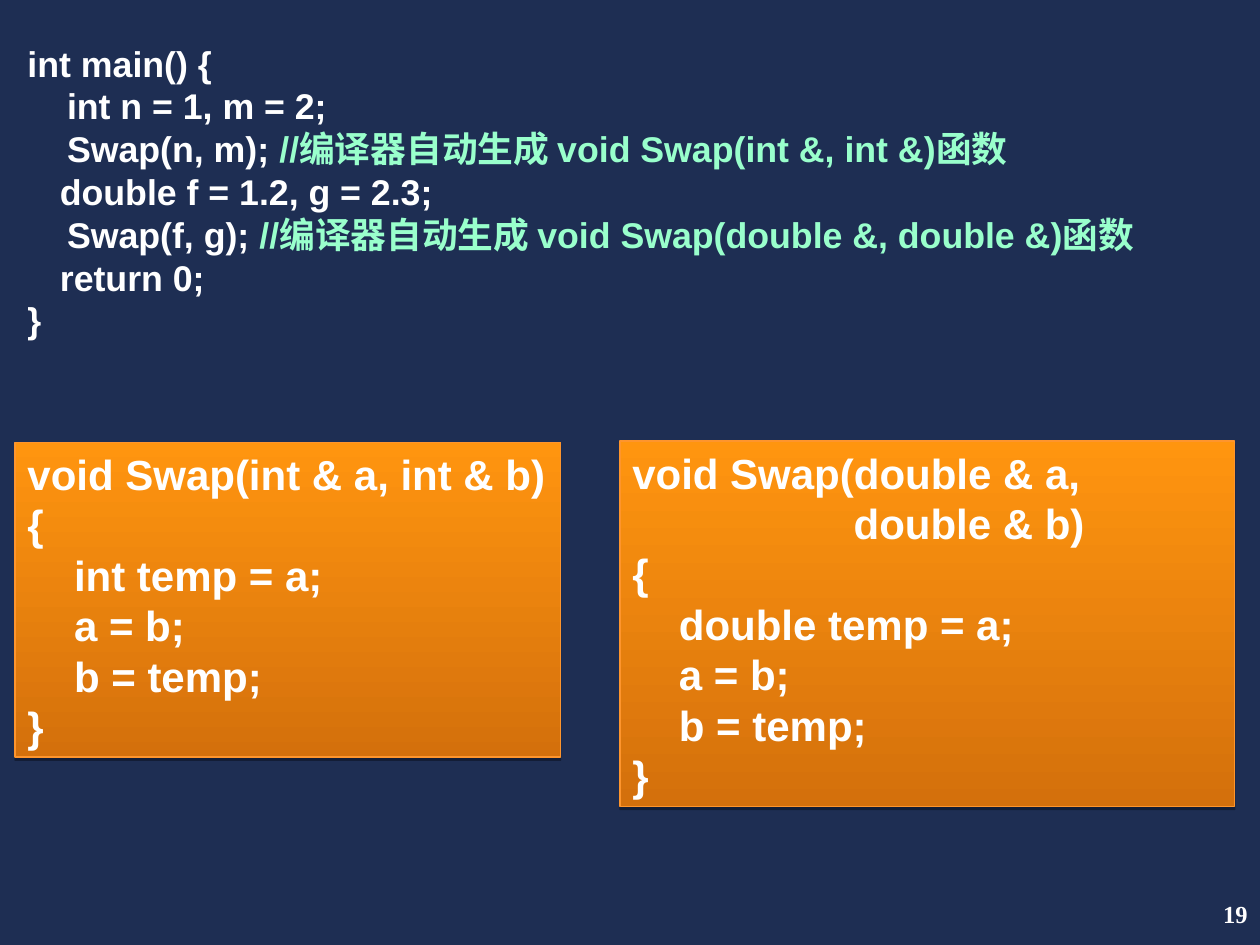
import pptx
import pptx.util
import pptx.dml.color
import pptx.enum.shapes
import pptx.enum.text
import lxml.etree

Pt = pptx.util.Pt
ALIGN = pptx.enum.text.PP_ALIGN
ANCHOR = pptx.enum.text.MSO_ANCHOR
FIT = pptx.enum.text.MSO_AUTO_SIZE
NS = "http://schemas.openxmlformats.org/drawingml/2006/main"
WHITE = "FFFFFF"
MINT = "99FFCC"


def tint(color, value):
    color.rgb = pptx.dml.color.RGBColor.from_string(value)


def apply(item, values):
    for name, value in values.items():
        setattr(item, name, value)


class Deck:
    code = {"name": "Arial", "bold": True}
    page = {"name": "Times New Roman", "bold": True}
    frame = {
        "margin_left": Pt(7.2), "margin_right": Pt(7.2),
        "margin_top": Pt(3.6), "margin_bottom": Pt(3.6),
        "word_wrap": True,
    }

    def __init__(self):
        self.show = pptx.Presentation()
        apply(self.show, {"slide_width": Pt(720), "slide_height": Pt(540)})
        self.slide = self.show.slides.add_slide(self.show.slide_layouts[6])
        fill = self.slide.background.fill
        fill.solid()
        tint(fill.fore_color, "1E2E53")

    def put(self, shape, paras, size, font, align=ALIGN.LEFT, **extra):
        frame = shape.text_frame
        apply(frame, {**self.frame, **extra})
        for index, parts in enumerate(paras):
            para = frame.add_paragraph() if index else frame.paragraphs[0]
            apply(para, {"alignment": align, "line_spacing": Pt(size * 1.2)})
            for text, color in parts:
                for row, line in enumerate(text.split("\n")):
                    if row:
                        para.add_line_break()
                    if line:
                        run = para.add_run()
                        run.text = line
                        apply(run.font, {**font, "size": Pt(size)})
                        tint(run.font.color, color)

    def text(self, box, *args, **extra):
        shape = self.slide.shapes.add_textbox(*map(Pt, box))
        self.put(shape, *args, **extra)

    def panel(self, box, paras):
        kind = pptx.enum.shapes.MSO_SHAPE.RECTANGLE
        shape = self.slide.shapes.add_shape(kind, *map(Pt, box))
        shape.fill.gradient()
        shape.fill.gradient_angle = 90
        colors = ("D4700C", "FF950F")
        for place, (stop, color) in enumerate(zip(shape.fill.gradient_stops, colors)):
            stop.position = place
            tint(stop.color, color)
        tint(shape.line.color, "FE952D")
        shape.line.width = Pt(0.75)
        self.shade(shape)
        parts = [[(text, WHITE)] for text in paras]
        self.put(shape, parts, 24, self.code,
                 vertical_anchor=ANCHOR.TOP, auto_size=FIT.SHAPE_TO_FIT_TEXT)

    def shade(self, shape):
        shape.shadow.inherit = False
        node = shape.element.spPr.find(f"{{{NS}}}effectLst")
        for tag, values in (
            ("outerShdw", {"blurRad": "0", "dist": str(Pt(1.8)), "dir": "5400000",
                           "algn": "ctr", "rotWithShape": "0"}),
            ("srgbClr", {"val": "000000"}),
            ("alpha", {"val": "35000"}),
        ):
            node = lxml.etree.SubElement(node, f"{{{NS}}}{tag}", values)


def main():
    deck = Deck()
    deck.text((8.64, 20.16, 708.48, 209.52), [[
        ("int main() {\n    int n = 1, m = 2;\n    Swap(n, m); ", WHITE),
        ("//编译器自动生成 void Swap(int &, int &)函数\n    ", MINT),
        ("double f = 1.2, g = 2.3;\n    Swap(f, g); ", WHITE),
        ("//编译器自动生成 void Swap(double &, double &)函数\n    ", MINT),
        ("return 0;\n}", WHITE),
    ]], 20.4, deck.code)
    deck.text((570.24, 504, 149.76, 36), [[("19", WHITE)]], 14, deck.page,
              align=ALIGN.RIGHT, vertical_anchor=ANCHOR.MIDDLE)
    body = "\n{\n    TYPE temp = a;\n    a = b;\n    b = temp;\n}"
    deck.panel((8.64, 252.72, 311.76, 180),
               ["void Swap(int & a, int & b)" + body.replace("TYPE", "int")])
    deck.panel((354.24, 252, 351.36, 208.8),
               ["void Swap(double & a,",
                "                   double & b)" + body.replace("TYPE", "double")])
    deck.show.save("out.pptx")


if __name__ == "__main__":
    main()
